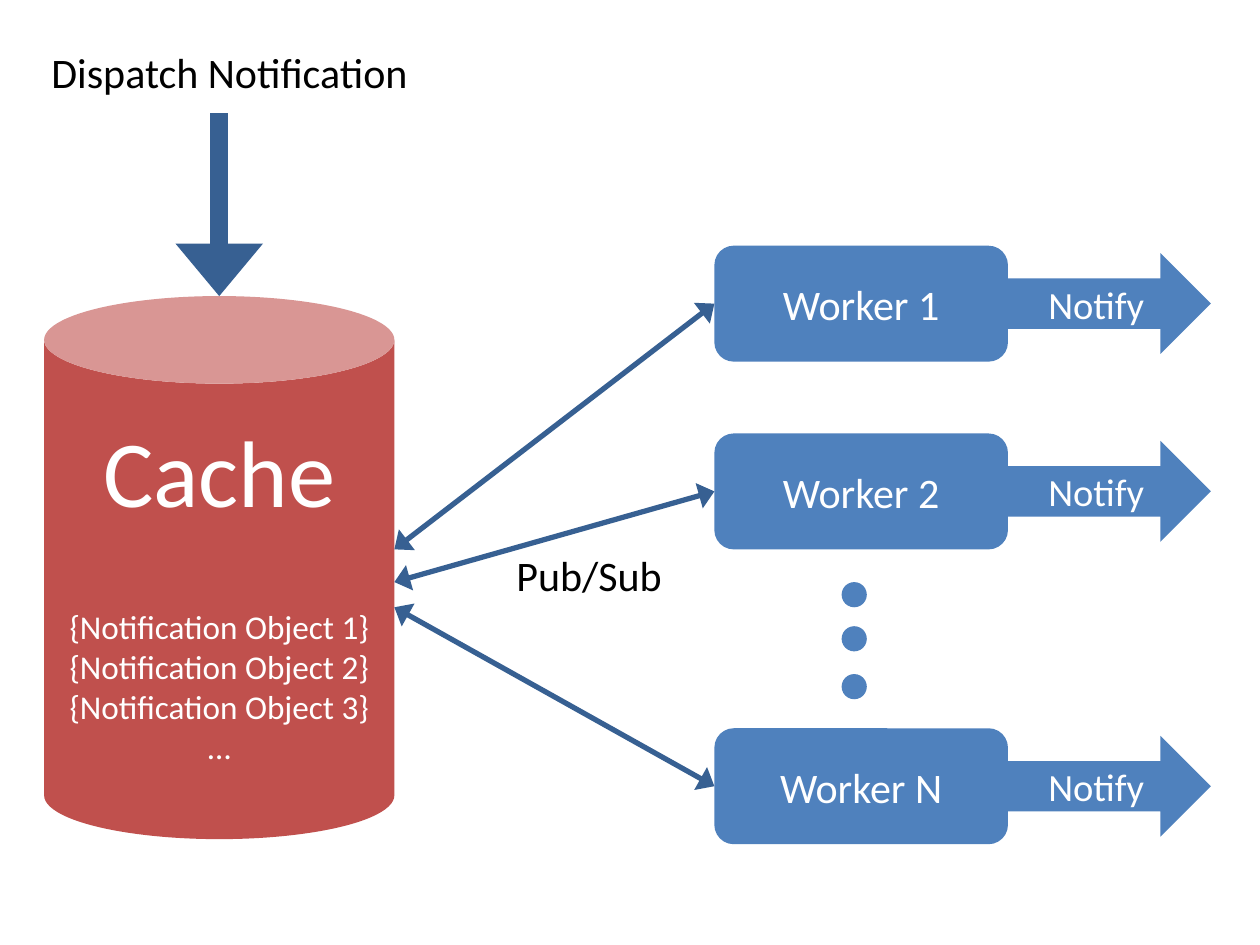
import pptx
import pptx.dml.color
import pptx.enum.shapes
import pptx.enum.text
import pptx.oxml
import pptx.oxml.ns
import pptx.util
from pptx.util import Inches

SHAPE = pptx.enum.shapes.MSO_SHAPE
COLORS = {"red": "C0504D", "blue": "4F81BD", "navy": "376092",
          "white": "FFFFFF", "black": "000000"}


class Diagram:
    """Holds the style and the current slide."""

    font = "Calibri"

    def __init__(self, s):
        self.s = s

    def color(self, name):
        """Return a named colour as RGB."""
        return pptx.dml.color.RGBColor.from_string(COLORS[name])

    def format(self, p, size, color):
        """Style every run of a paragraph."""
        for r in p.runs:
            r.font.name = self.font
            r.font.size = pptx.util.Pt(size)
            r.font.color.rgb = self.color(color)

    def shape(self, kind, x, y, w, h, fill, text="", size=24):
        """Add a filled preset shape with centred white text."""
        sp = self.s.shapes.add_shape(kind, Inches(x), Inches(y), Inches(w), Inches(h))
        sp.shadow.inherit = False
        sp.fill.solid()
        sp.fill.fore_color.rgb = self.color(fill)
        sp.line.fill.background()
        tf = sp.text_frame
        tf.text = text
        tf.vertical_anchor = pptx.enum.text.MSO_ANCHOR.MIDDLE
        for p in tf.paragraphs:
            p.alignment = pptx.enum.text.PP_ALIGN.CENTER
            self.format(p, size, "white")
        return sp

    def label(self, text, x, y, w, h, wrap):
        """Add a black text label."""
        tf = self.s.shapes.add_textbox(Inches(x), Inches(y), Inches(w), Inches(h)).text_frame
        tf.text = text
        tf.word_wrap = wrap
        tf.auto_size = pptx.enum.text.MSO_AUTO_SIZE.SHAPE_TO_FIT_TEXT
        self.format(tf.paragraphs[0], 24, "black")

    def arrow(self, x1, y1, x2, y2, width, ends=("tailEnd",)):
        """Add a straight line with triangle heads at the given ends."""
        cx = self.s.shapes.add_connector(
            pptx.enum.shapes.MSO_CONNECTOR.STRAIGHT,
            Inches(x1), Inches(y1), Inches(x2), Inches(y2))
        cx.line.width = pptx.util.Pt(width)
        cx.line.color.rgb = self.color("navy")
        ln = cx.line._get_or_add_ln()
        for end in ends:
            head = pptx.oxml.ns.qn("a:" + end)
            ln.append(ln.makeelement(head, {"type": "triangle", "w": "lg", "len": "med"}))
        sp_pr = cx._element.spPr
        sp_pr.append(sp_pr.makeelement(pptx.oxml.ns.qn("a:effectLst"), {}))
        return cx


def add_store(d):
    """Draw the data store with its queued objects."""
    lines = ["Cache"] + [f"{{Notification Object {i}}}" for i in (1, 2, 3)] + ["…"]
    sp = d.shape(SHAPE.CAN, 0.35, 2.35, 2.78, 4.31, "red", "\n".join(lines), 19)
    name, first = sp.text_frame.paragraphs[:2]
    d.format(name, 54, "white")
    first.space_before = pptx.util.Pt(46)


def add_workers(d):
    """Draw each worker with its notify arrow and its link to the store."""
    workers = [("1", 1.95, 4.36), ("2", 3.44, 4.62), ("N", 5.78, 4.82)]
    for name, top, link_y in workers:
        sp = d.shape(SHAPE.ROUNDED_RECTANGLE, 5.67, top, 2.33, 0.92, "blue", f"Worker {name}")
        d.shape(SHAPE.RIGHT_ARROW, 7.99, top + 0.06, 1.62, 0.8, "blue", "Notify", 22)
        cx = d.arrow(3.13, link_y, 5.67, top + 0.46, 3, ("headEnd", "tailEnd"))
        cx.end_connect(sp, 1)
    for top in (4.62, 4.97, 5.35):
        d.shape(SHAPE.OVAL, 6.68, top, 0.2, 0.2, "blue")


def main():
    """Build and save the slide."""
    prs = pptx.Presentation()
    prs.slide_width, prs.slide_height = Inches(10), Inches(7.5)
    d = Diagram(prs.slides.add_slide(prs.slide_layouts[6]))
    add_store(d)
    add_workers(d)
    d.arrow(1.74, 0.9, 1.74, 2.35, 10)
    d.label("Dispatch Notification", 0.31, 0.32, 3.07, 0.5, False)
    d.label("Pub/Sub", 4, 4.31, 1.44, 0.5, True)
    prs.save("out.pptx")


main()
